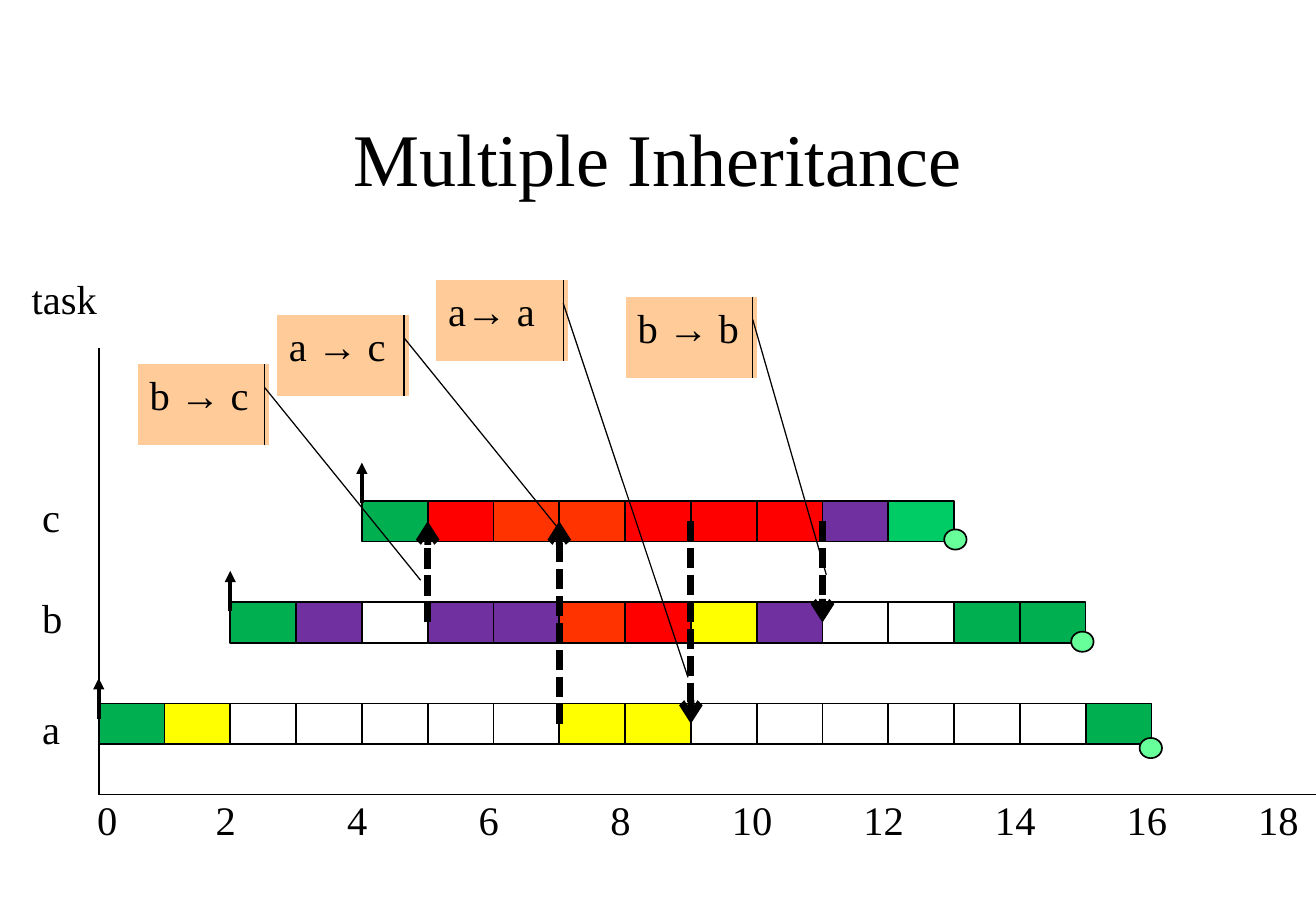
from dataclasses import dataclass
from lxml.etree import SubElement
from pptx import Presentation
from pptx.dml.color import RGBColor
from pptx.enum.dml import MSO_LINE_DASH_STYLE as Dash
from pptx.enum.shapes import MSO_CONNECTOR as Connector, MSO_SHAPE as Shape
from pptx.enum.text import MSO_ANCHOR as Anchor, PP_ALIGN as Align
from pptx.oxml.ns import qn
from pptx.util import Inches, Pt


@dataclass(frozen=True)
class Theme:
    font: str = "Times New Roman"
    ink: str = "000000"
    callout: str = "FFCC99"
    completion: str = "66FF99"
    title_size: float = 44
    text_size: float = 24
    thin: float = 0.75
    outline: float = 1
    release: float = 2.25
    handover: float = 4


THEME = Theme()
WIDTH, HEIGHT = Inches(10.83), Inches(7.5)
COLUMN, ROW = WIDTH / 20, HEIGHT / 9
ORIGIN = 1.5
AXIS_ROW = 7.85
CELL_HEIGHT = 0.4
CELL_FILLS = {
    "G": "00B050", "L": "00CC66", "Y": "FFFF00", "P": "7030A0",
    "R": "FF0000", "O": "FF3300", "W": "FFFFFF", ".": None,
}


@dataclass(frozen=True)
class Task:
    name: str
    start: int
    cells: str
    top: float
    label_top: float
    release_rise: float
    completion: tuple


TASKS = {
    "a": Task("a", 0, "GY.W..WYY......G", 6.95, 6.9, 0.25, (15.99, 7.39)),
    "b": Task("b", 2, "GP.PPORYP..GG", 5.95, 5.8, 0.31, (14.95, 6.34)),
    "c": Task("c", 4, "GROORRRPL", 4.95, 4.8, 0.38, (13.02, 5.33)),
}
HANDOVERS = [(5, "b", "c"), (7, "a", "c"), (9, "c", "a"), (11, "c", "b")]
CALLOUTS = [
    ("b \u2192 c", 0.59, 3.6, 2.666, 2.151),
    ("a \u2192 c", 2.71, 3.11, 2.666, 2.151),
    ("a\u2192 a", 5.13, 2.77, 4.904, 1.913),
    ("b \u2192 b", 8.01, 2.93, 3.436, 1.524),
]


def at_time(time):
    return round((ORIGIN + time) * COLUMN)


def at_row(row):
    return round(row * ROW)


def box(time, row, columns, rows):
    return at_time(time), at_row(row), round(columns * COLUMN), round(rows * ROW)


def write(shape, text, size=THEME.text_size, align=Align.LEFT, anchor=Anchor.TOP):
    frame = shape.text_frame
    for name, value in {"word_wrap": True, "vertical_anchor": anchor}.items():
        setattr(frame, name, value)
    paragraph = frame.paragraphs[0]
    paragraph.text, paragraph.alignment = text, align
    font = paragraph.runs[0].font
    for name, value in {"name": THEME.font, "size": Pt(size)}.items():
        setattr(font, name, value)
    font.color.rgb = RGBColor.from_string(THEME.ink)


def add_label(slide, text, area, **formats):
    write(slide.shapes.add_textbox(*area), text, **formats)


def add_outlined(slide, kind, area, fill, line_width=THEME.outline):
    shape = slide.shapes.add_shape(kind, *area)
    shape.shadow.inherit = False
    if fill:
        shape.fill.solid()
        shape.fill.fore_color.rgb = RGBColor.from_string(fill)
    else:
        shape.fill.background()
    shape.line.color.rgb = RGBColor.from_string(THEME.ink)
    shape.line.width = Pt(line_width)
    return shape


def add_line(slide, start, end, width=THEME.outline, dash=None, arrow=None):
    points = [at(value) for point in (start, end) for at, value in zip((at_time, at_row), point)]
    connector = slide.shapes.add_connector(Connector.STRAIGHT, *points)
    line = connector.line
    line.color.rgb = RGBColor.from_string(THEME.ink)
    for name, value in {"width": Pt(width), "dash_style": dash}.items():
        setattr(line, name, value)
    if arrow:
        SubElement(line._get_or_add_ln(), qn("a:tailEnd"), type=arrow)
    SubElement(connector._element.spPr, qn("a:effectLst"))


def add_axes(slide):
    add_line(slide, (0, 3.44), (0, AXIS_ROW))
    add_line(slide, (0, AXIS_ROW), (18.5, AXIS_ROW))
    add_label(slide, "task", box(-1.2, 2.65, 1.7, 0.6))
    for time in range(0, 19, 2):
        center = time - 0.07 if time else 0.13
        add_label(slide, str(time), box(center - 0.6, 7.8, 1.2, 0.6), align=Align.CENTER)


def add_task(slide, task):
    for time, code in enumerate(task.cells, task.start):
        add_outlined(slide, Shape.RECTANGLE, box(time, task.top, 1, CELL_HEIGHT), CELL_FILLS[code])
    add_label(slide, task.name, box(-1.04, task.label_top, 0.8, 0.6))
    tip = task.top - task.release_rise
    add_line(slide, (task.start, tip + 0.4), (task.start, tip),
             THEME.release, arrow="triangle")
    time, row = task.completion
    add_outlined(slide, Shape.OVAL, box(time - 0.17, row - 0.1, 0.34, 0.2), THEME.completion)


def add_handover(slide, time, source, target):
    start, end = ((time, TASKS[name].top + CELL_HEIGHT / 2) for name in (source, target))
    add_line(slide, start, end, THEME.handover, Dash.SQUARE_DOT, "arrow")


def add_callout(slide, text, time, row, *tip):
    callout = add_outlined(slide, Shape.LINE_CALLOUT_1_ACCENT_BAR,
                           box(time, row, 2, 0.8), THEME.callout, THEME.thin)
    for index, value in enumerate((0.284, 0.965, *tip)):
        callout.adjustments[index] = value
    write(callout, text)


def main():
    presentation = Presentation()
    presentation.slide_width, presentation.slide_height = WIDTH, HEIGHT
    slide = presentation.slides.add_slide(presentation.slide_layouts[6])
    add_label(slide, "Multiple Inheritance", box(0, 0.8, 17, 1.5),
              size=THEME.title_size, align=Align.CENTER, anchor=Anchor.MIDDLE)
    add_axes(slide)
    for task in TASKS.values():
        add_task(slide, task)
    for handover in HANDOVERS:
        add_handover(slide, *handover)
    for callout in CALLOUTS:
        add_callout(slide, *callout)
    presentation.save("out.pptx")


main()
